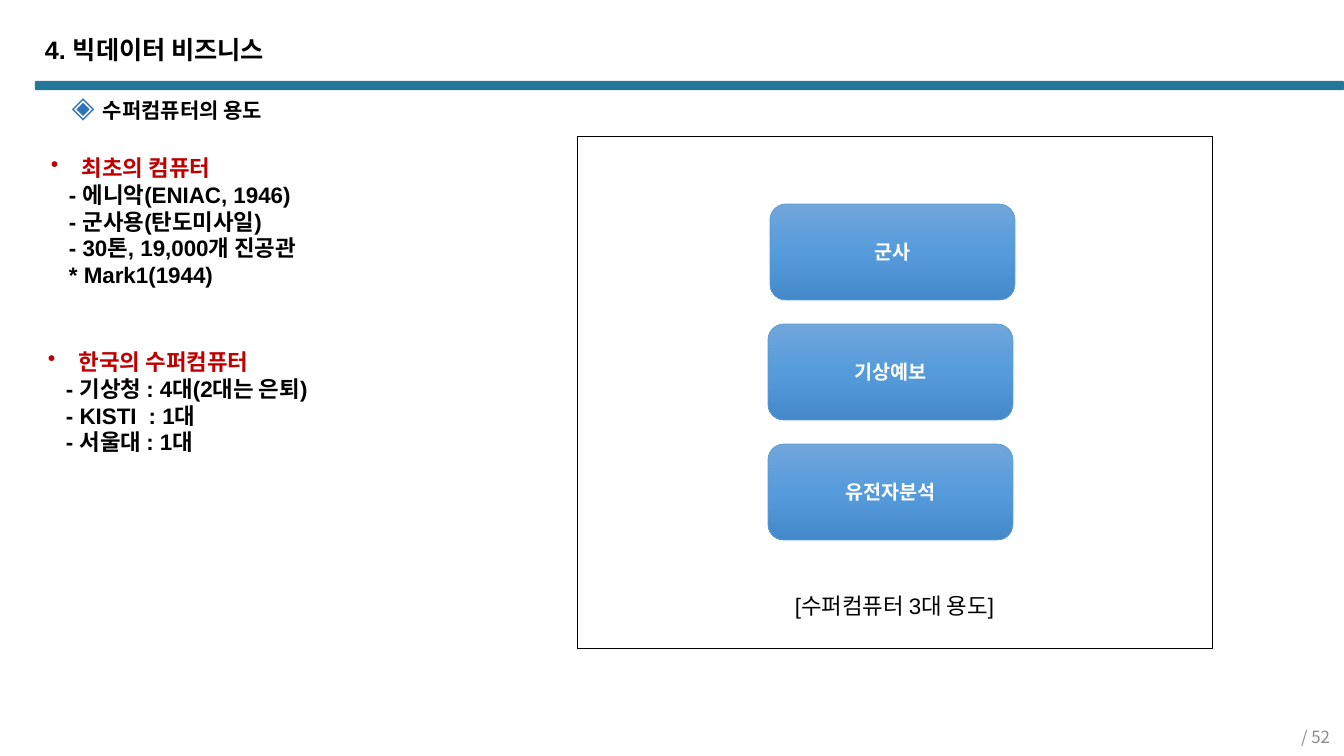
from copy import deepcopy
from lxml.etree import SubElement
from pptx import Presentation
from pptx.dml.color import RGBColor
from pptx.enum.shapes import MSO_SHAPE
from pptx.enum.text import MSO_ANCHOR, PP_ALIGN
from pptx.oxml.ns import qn
from pptx.util import Pt

TITLE = "4. 빅데이터 비즈니스"
TOPIC = "수퍼컴퓨터의 용도"
PAGE = "/ 52"
CAPTION = "[수퍼컴퓨터 3대 용도]"
NOTES = [
    ((41, 149, 520, 169), "최초의 컴퓨터",
     ["- 에니악(ENIAC, 1946)", "- 군사용(탄도미사일)",
      "- 30톤, 19,000개 진공관", "* Mark1(1944)"]),
    ((38, 343, 520, 119), "한국의 수퍼컴퓨터",
     ["- 기상청 : 4대(2대는 은퇴)", "- KISTI\t: 1대", "- 서울대 : 1대"]),
]
USES = [(770, "군사"), (768, "기상예보"), (768, "유전자분석")]
USE_TOP, USE_STEP, USE_W, USE_H = 204, 120, 245, 96
HANG, INDENT, TAB = 31, 18, 108

BLACK = RGBColor(0, 0, 0)
WHITE = RGBColor(255, 255, 255)
RED = RGBColor(0xC0, 0, 0)
GRAY = RGBColor(0x8C, 0x8C, 0x8C)
TEAL = RGBColor(0x22, 0x77, 0x9B)
BLUE = RGBColor(0x5B, 0x9B, 0xD5)
SHADES = [(0, RGBColor(0x71, 0xA6, 0xDB)), (0.5, RGBColor(0x55, 0x9B, 0xDB)),
          (1, RGBColor(0x44, 0x8A, 0xCA))]
SCALE = 914400 / 100.8


def px(n):
    return round(n * SCALE)


def style(para, size, color=BLACK, bold=True, face="Arial"):
    font = para.font
    font.size, font.bold, font.name = Pt(size), bold, face
    font.color.rgb = color


def bullet(para, mark, color=None, size=None):
    props = para._p.get_or_add_pPr()
    props.set("marL", str(px(HANG)))
    props.set("indent", str(-px(HANG)))
    if color:
        SubElement(SubElement(props, qn("a:buClr")), qn("a:srgbClr"), val=str(color))
    if size:
        SubElement(props, qn("a:buSzPct"), val=str(size * 1000))
    SubElement(props, qn("a:buChar"), char=mark)


def indent(para):
    props = para._p.get_or_add_pPr()
    props.set("marL", "0")
    props.set("indent", str(px(INDENT)))
    if "\t" in para.text:
        tabs = SubElement(props, qn("a:tabLst"))
        SubElement(tabs, qn("a:tab"), pos=str(px(TAB)), algn="l")


def add_text(slide, box, text):
    frame = slide.shapes.add_textbox(*map(px, box)).text_frame
    frame.word_wrap = True
    para = frame.paragraphs[0]
    para.text = text
    return frame, para


def add_box(slide, kind, box):
    shape = slide.shapes.add_shape(kind, *map(px, box))
    shape.shadow.inherit = False
    return shape


def label(shape, text, size, color, bold):
    frame = shape.text_frame
    frame.margin_top = frame.margin_bottom = 0
    para = frame.paragraphs[0]
    para.text = text
    para.alignment = PP_ALIGN.CENTER
    style(para, size, color, bold)
    return frame


def outline(shape, color):
    shape.line.color.rgb = color
    shape.line.width = Pt(0.5)


def shade(shape):
    fill = shape.fill
    fill.gradient()
    fill.gradient_angle = 270
    first = next(shape._element.spPr.iter(qn("a:gs")))
    first.addnext(deepcopy(first))
    for stop, (place, color) in zip(fill.gradient_stops, SHADES):
        stop.position = place
        stop.color.rgb = color


def main():
    deck = Presentation()
    deck.slide_width, deck.slide_height = px(1344), px(756)
    slide = deck.slides.add_slide(deck.slide_layouts[6])

    bar = add_box(slide, MSO_SHAPE.ROUNDED_RECTANGLE, (35, 81, 1309, 9))
    bar.adjustments[0] = 0.13
    bar.fill.solid()
    bar.fill.fore_color.rgb = TEAL
    bar.line.fill.background()

    frame, para = add_text(slide, (35, 33, 796, 47), TITLE)
    para.line_spacing = 0.9
    style(para, 18)

    frame, para = add_text(slide, (1026, 725, 314, 23), PAGE)
    frame.vertical_anchor = MSO_ANCHOR.MIDDLE
    para.alignment = PP_ALIGN.RIGHT
    style(para, 12, GRAY, False, "Noto Sans CJK KR")

    frame, para = add_text(slide, (72, 98, 885, 25), TOPIC)
    frame.margin_left = frame.margin_right = 0
    frame.margin_top = frame.margin_bottom = 0
    bullet(para, "◈", RGBColor(0x2E, 0x75, 0xB6), 140)
    style(para, 15)

    for box, head, lines in NOTES:
        frame, para = add_text(slide, box, head)
        bullet(para, "•")
        style(para, 16, RED)
        for line in lines:
            para = frame.add_paragraph()
            para.text = line
            indent(para)
            style(para, 16)

    panel = add_box(slide, MSO_SHAPE.RECTANGLE, (577, 136, 635, 512))
    panel.fill.background()
    outline(panel, BLACK)
    frame = label(panel, CAPTION, 16, BLACK, False)
    frame.vertical_anchor = MSO_ANCHOR.BOTTOM
    frame.margin_bottom = px(29)

    for i, (left, name) in enumerate(USES):
        box = (left, USE_TOP + i * USE_STEP, USE_W, USE_H)
        use = add_box(slide, MSO_SHAPE.ROUNDED_RECTANGLE, box)
        shade(use)
        outline(use, BLUE)
        label(use, name, 14, WHITE, True).vertical_anchor = MSO_ANCHOR.MIDDLE

    deck.save("out.pptx")


if __name__ == "__main__":
    main()
